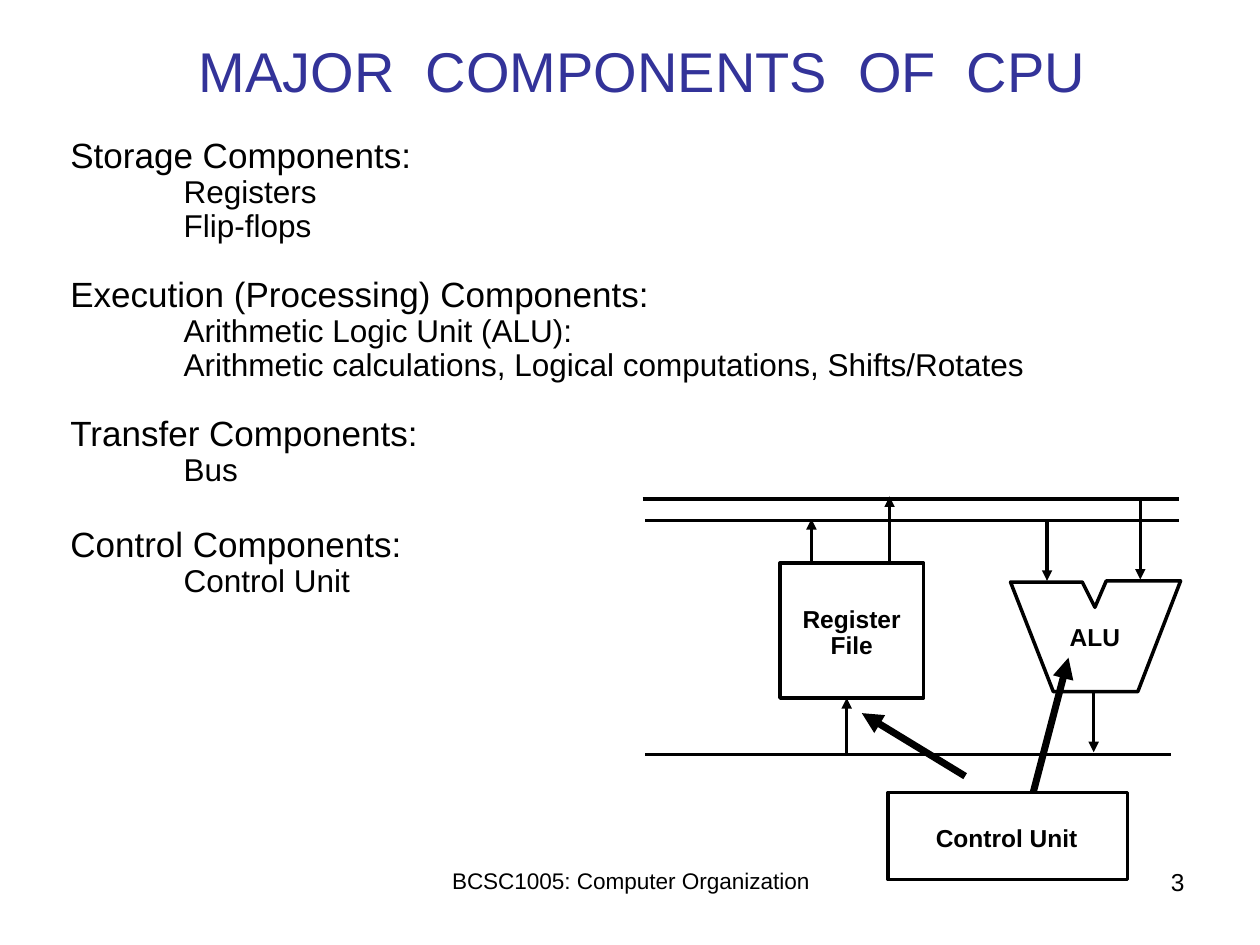
"""Build the slide on the major components of a CPU, on a grid of 100 columns by 75 rows."""
from pptx import Presentation
from pptx import util as u
from pptx.dml.color import RGBColor
from pptx.enum import shapes, text
from pptx.oxml.ns import qn
from lxml import etree

BLACK = RGBColor(0x00, 0x00, 0x00)
INDIGO = RGBColor(0x33, 0x33, 0x99)
CELL = u.Inches(0.1)
INDENT = 9

LEFT, CENTER, RIGHT = text.PP_ALIGN.LEFT, text.PP_ALIGN.CENTER, text.PP_ALIGN.RIGHT

deck = Presentation()
deck.slide_width, deck.slide_height = 100 * CELL, 75 * CELL
page = deck.slides.add_slide(deck.slide_layouts[6])


def grid(*cells):
    return [round(cell * CELL) for cell in cells]


def add_text(area, lines, align, color=BLACK, bold=False, spacing=0.9, wrap=True):
    box = page.shapes.add_textbox(*grid(*area))
    frame = box.text_frame
    frame.word_wrap = wrap
    for index, (words, size, indent, before) in enumerate(lines):
        para = frame.paragraphs[0] if index == 0 else frame.add_paragraph()
        para.alignment = align
        para.line_spacing = spacing
        para.space_before = u.Pt(before)
        if indent:
            para._p.get_or_add_pPr().set("marL", str(grid(indent)[0]))
        span = para.add_run()
        span.text = words
        span.font.name = "Arial"
        span.font.size = u.Pt(size)
        span.font.bold = bold
        span.font.color.rgb = color
    return frame


add_text((34.2, 68.3, 31.7, 5.2), [("BCSC1005: Computer Organization", 12.9, 0, 0)], CENTER, spacing=1)
add_text((71.7, 68.3, 23.3, 5.2), [("3", 14, 0, 0)], RIGHT, spacing=1)
title = add_text((10.6, 2, 80.8, 7.1), [("MAJOR  COMPONENTS  OF  CPU", 32, 0, 0)], CENTER, INDIGO, spacing=1)
title.vertical_anchor = text.MSO_ANCHOR.MIDDLE
title.margin_left = title.margin_right = u.Inches(0.07)
title.margin_top = title.margin_bottom = u.Inches(0.03)

sections = [
    ("Storage Components:", 0, ["Registers", "Flip-flops"]),
    ("Execution (Processing) Components:", 19, [
        "Arithmetic Logic Unit (ALU):",
        "Arithmetic calculations, Logical computations, Shifts/Rotates",
    ]),
    ("Transfer Components:", 19, ["Bus"]),
    ("Control Components:", 22, ["Control Unit"]),
]
outline = []
for heading, before, items in sections:
    outline.append((heading, 20, 0, before))
    outline += [(item, 18, INDENT, 0) for item in items]
add_text((4.6, 10.5, 89.9, 37.6), outline, LEFT)

register_file = page.shapes.add_shape(shapes.MSO_SHAPE.RECTANGLE, *grid(61.9, 44.7, 11.4, 10.7))
control_unit = page.shapes.add_shape(shapes.MSO_SHAPE.RECTANGLE, *grid(70.5, 62.9, 19, 6.9))
alu_corners = [(80.2, 46.2), (85.9, 46.2), (86.9, 48.2), (87.8, 46.1), (93.7, 46.1), (90.3, 54.9), (83.6, 54.9)]
alu_points = [grid(*corner) for corner in alu_corners]
builder = page.shapes.build_freeform(*alu_points[0])
builder.add_line_segments(alu_points[1:], close=True)
alu = builder.convert_to_shape()
for unit in (register_file, control_unit, alu):
    unit.shadow.inherit = False
    unit.fill.background()
    unit.line.color.rgb = BLACK
    unit.line.width = u.Pt(2)

labels = [
    ((61.6, 47.7, 12, 5.2), ["Register", "File"]),
    ((81.9, 49.1, 10, 3.1), ["ALU"]),
    ((70.9, 65.1, 18, 3.1), ["Control Unit"]),
]
for area, words in labels:
    add_text(area, [(word, 14, 0, 0) for word in words], CENTER, bold=True, wrap=False)

buses = [(51, 39.6, 93.6, 39.6), (51.2, 41.3, 93.6, 41.3), (51.2, 59.9, 92.9, 59.9)]
data_arrows = [
    (90.5, 39.8, 90.5, 46),
    (83.1, 41.3, 83.1, 46.1),
    (86.8, 54.9, 86.8, 59.7),
    (67.2, 59.9, 67.2, 55.4),
    (70.6, 44.7, 70.6, 39.4),
    (64.4, 44.8, 64.4, 41.2),
]
control_arrows = [(76.6, 61.6, 68.4, 56.6), (82, 62.9, 84.8, 52.2)]
for routes, weight, arrow in ((buses, 2, False), (data_arrows, 2, True), (control_arrows, 4, True)):
    for route in routes:
        link = page.shapes.add_connector(shapes.MSO_CONNECTOR.STRAIGHT, *grid(*route))
        link.line.color.rgb = BLACK
        link.line.width = u.Pt(weight)
        if arrow:
            etree.SubElement(link.line._get_or_add_ln(), qn("a:tailEnd"), type="triangle")
        etree.SubElement(link._element.spPr, qn("a:effectLst"))

deck.save("out.pptx")
